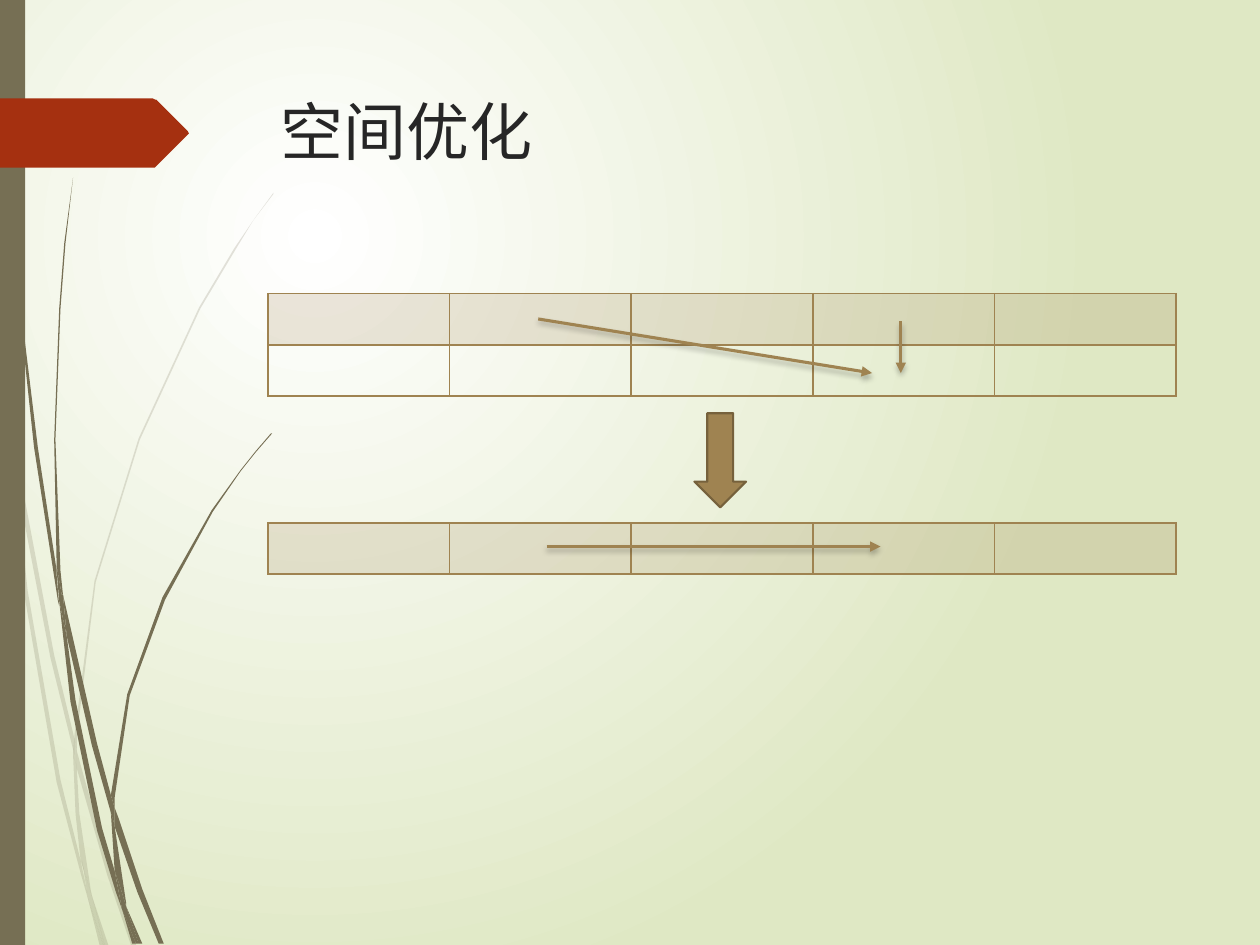
import pptx
import pptx.dml.color
import pptx.enum.shapes
import pptx.enum.text
import pptx.oxml
import pptx.oxml.ns
import pptx.util
from pptx.util import Cm

OLIVE, BRONZE, RUST = "766F54", "9F8351", "A53010"
NS = pptx.oxml.ns.nsdecls("a")
UNIT = Cm(2.54) / 100  # outlines below are in hundredths of an inch

# Each outline is a run of x y pairs.
FAINT_BLADES = [
    "8 350 6 322 0 282 0 299 7 344",
    "40 522 59 599 59 586 43 520 10 345 12 376",
    "64 607 61 596 61 610 85 694 104 750 108 750 88 692",
    "83 750 86 750 73 711",
    "64 683 48 619 22 469 12 376 8 350 19 470 45 621 64 693 70 714 69 707",
    "58 599 60 646 64 683 67 692 73 711 72 706 63 646 61 610 61 608",
    "61 584 76 462 111 349 159 245 187 198 201 175 217 154 217 153 "
    "201 175 186 197 158 244 110 348 75 461 59 584 59 586 61 596",
    "70 714 79 750 82 750",
    "61 608 61 610 61 596 59 586 58 599",
    "67 692 65 683 69 707 70 714 82 750 83 750 73 711",
]
SOLID_BLADES = [
    "5 110 14 233 27 355 46 477 47 481 45 457 45 453 30 355 15 232 6 109 "
    "4 48 3 0 2 0 3 48",
    "73 592 88 645 88 633 88 631 77 590 50 472 53 505",
    "94 649 91 641 91 656 109 708 126 749 130 749 113 706",
    "91 691 81 657 60 556 53 505 47 477 56 557 77 659 92 708 97 722 96 717",
    "50 472 48 453 44 349 48 245 52 193 58 141 51 193 47 245 43 349 45 449 "
    "49 472",
    "110 749 113 749 100 719",
    "47 477 53 505 50 472 49 472 45 449 45 453",
    "91 633 103 552 131 476 169 406 191 374 203 359 216 344 215 344 203 358 "
    "191 373 168 405 129 474 101 551 88 631 91 641",
    "97 722 105 749 108 749",
    "88 645 91 691 96 706 100 719 100 716 91 656 90 651",
    "88 645 90 651 91 656 91 641 88 631 88 633",
    "96 706 91 691 96 717 97 722 108 749 110 749 100 719",
]
TAG = ("149 107 124 132 123 133 121 133 0 133 0 78 121 78 123 79 124 79 "
       "149 104 150 106")


def colour(code):
    return pptx.dml.color.RGBColor.from_string(code)


def paint(fill, code, opacity=100):
    fill.solid()
    fill.fore_color.rgb = colour(code)
    if opacity < 100:
        tint = fill._xPr.find(".//" + pptx.oxml.ns.qn("a:srgbClr"))
        tint.append(pptx.oxml.parse_xml(f'<a:alpha {NS} val="{opacity * 1000}"/>'))


def add_outline(shapes, left, top, numbers, code, opacity=100):
    values = [int(number) for number in numbers.split()]
    points = list(zip(values[::2], values[1::2]))
    builder = shapes.build_freeform(*points[0], scale=UNIT)
    builder.add_line_segments(points[1:], close=True)
    outline = builder.convert_to_shape(left, top)
    outline.shadow.inherit = False
    outline.line.fill.background()
    paint(outline.fill, code, opacity)


def add_background(page):
    """Circular gradient that spreads from the upper left quarter."""
    fill = page.background.fill
    fill.gradient()
    for stop, code in zip(fill.gradient_stops, ("FFFFFF", "DFE8C4")):
        stop.color.rgb = colour(code)
    gradient = page.element.find(".//" + pptx.oxml.ns.qn("a:gradFill"))
    linear = gradient.find(pptx.oxml.ns.qn("a:lin"))
    gradient.replace(linear, pptx.oxml.parse_xml(
        f'<a:path {NS} path="circle"><a:fillToRect l="50000" t="50000" '
        'r="100000" b="100000"/></a:path>'))


def add_side_decoration(page, left, top, height):
    for blades, opacity in ((FAINT_BLADES, 20), (SOLID_BLADES, 100)):
        group = page.shapes.add_group_shape()
        for blade in blades:
            add_outline(group.shapes, left, top, blade, OLIVE, opacity)
    add_block(page, pptx.enum.shapes.MSO_SHAPE.RECTANGLE,
              (left, top, Cm(0.51), height), OLIVE)
    add_outline(page.shapes, left, top, TAG, RUST)


def add_block(page, kind, box, code, edge=None):
    block = page.shapes.add_shape(kind, *box)
    block.shadow.inherit = False
    paint(block.fill, code)
    if edge:
        block.line.color.rgb = colour(edge)
        block.line.width = pptx.util.Pt(1.25)
    else:
        block.line.fill.background()


def add_title(page, text, left, top, width, height):
    title = page.shapes.title
    title.left, title.top, title.width, title.height = left, top, width, height
    frame = title.text_frame
    frame.text = text
    frame.vertical_anchor = pptx.enum.text.MSO_ANCHOR.TOP
    para = frame.paragraphs[0]
    para.alignment = pptx.enum.text.PP_ALIGN.LEFT
    font = para.runs[0].font
    font.name, font.size = "League Spartan", pptx.util.Pt(36)
    font.color.rgb = colour("262626")


def add_border(cell):
    properties = cell._tc.get_or_add_tcPr()
    for index, side in enumerate("LRTB"):
        properties.insert(index, pptx.oxml.parse_xml(
            f'<a:ln{side} {NS} w="12700"><a:solidFill><a:srgbClr val="{BRONZE}"/>'
            f'</a:solidFill></a:ln{side}>'))


def add_arrow(page, start, end):
    arrow = page.shapes.add_connector(
        pptx.enum.shapes.MSO_CONNECTOR.STRAIGHT, *start, *end)
    arrow.line.color.rgb = colour(BRONZE)
    arrow.line.width = pptx.util.Pt(1.75)
    arrow.line._get_or_add_ln().append(
        pptx.oxml.parse_xml(f'<a:tailEnd {NS} type="triangle"/>'))
    arrow._element.spPr.append(pptx.oxml.parse_xml(
        f'<a:effectLst {NS}><a:outerShdw blurRad="38100" dist="25400" '
        'dir="5400000" rotWithShape="0"><a:srgbClr val="000000">'
        '<a:alpha val="25000"/></a:srgbClr></a:outerShdw></a:effectLst>'))


def add_state_grid(page, left, top, width, row_height, rows, arrows):
    """Grid with a tinted first row; arrows are in cm from its top left corner."""
    frame = page.shapes.add_table(rows, 5, left, top, width, row_height * rows)
    table = frame.table
    table.first_row = table.horz_banding = False
    for row_index, row in enumerate(table.rows):
        for cell in row.cells:
            if row_index == 0:
                paint(cell.fill, BRONZE, 20)
            else:
                cell.fill.background()
            add_border(cell)
    for x1, y1, x2, y2 in arrows:
        add_arrow(page, (left + Cm(x1), top + Cm(y1)),
                  (left + Cm(x2), top + Cm(y2)))


def main():
    deck = pptx.Presentation()
    deck.slide_width, deck.slide_height = Cm(25.4), Cm(19.05)
    page = deck.slides.add_slide(deck.slide_layouts[5])
    left, width, row_height = Cm(5.4), Cm(18.31), Cm(1.03)

    add_background(page)
    add_side_decoration(page, 0, 0, deck.slide_height)
    add_title(page, "空间优化", left, Cm(1.73), width, Cm(3.56))
    add_state_grid(page, left, Cm(5.92), width, row_height, 2,
                   [(12.76, 0.56, 12.76, 1.6), (5.45, 0.51, 12.18, 1.6)])
    add_state_grid(page, left, Cm(10.54), width, row_height, 1,
                   [(5.62, 0.48, 12.35, 0.48)])
    add_block(page, pptx.enum.shapes.MSO_SHAPE.DOWN_ARROW,
              (Cm(14), Cm(8.33), Cm(1.04), Cm(1.9)), BRONZE, "76613C")
    deck.save("out.pptx")


if __name__ == "__main__":
    main()
